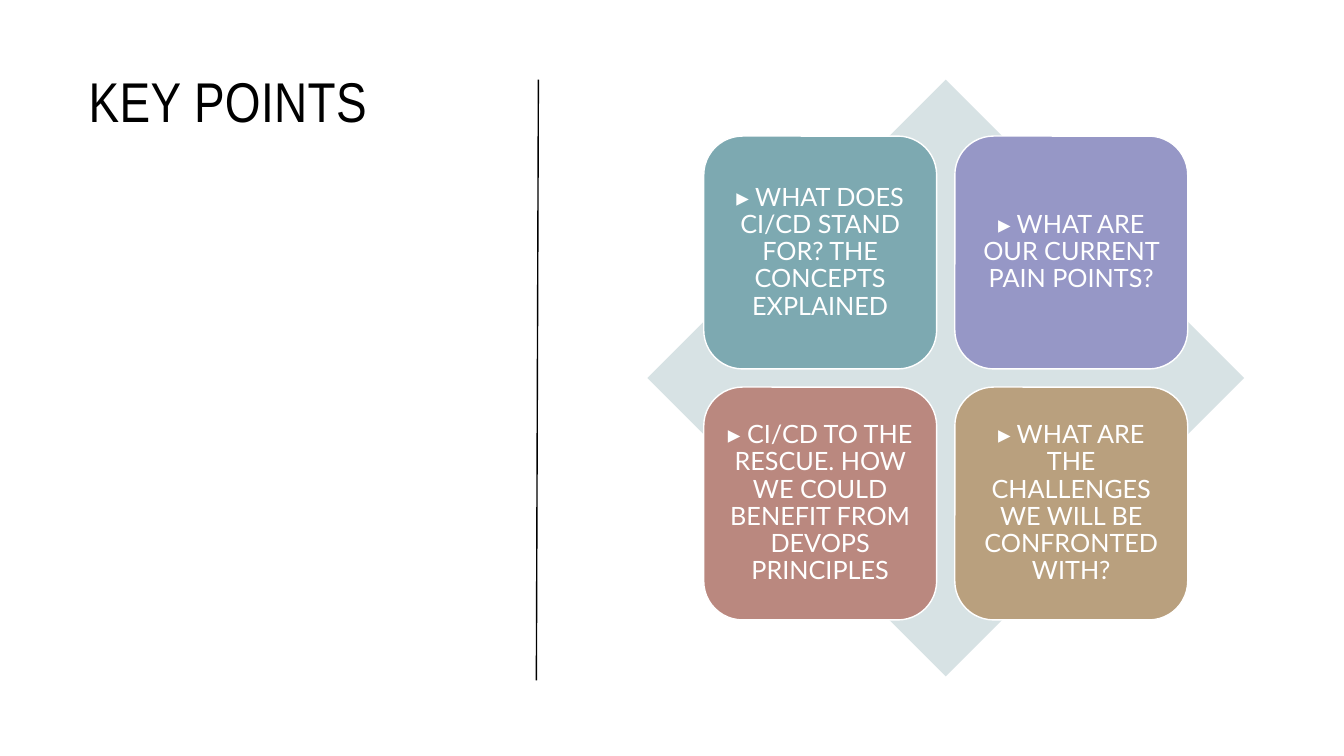
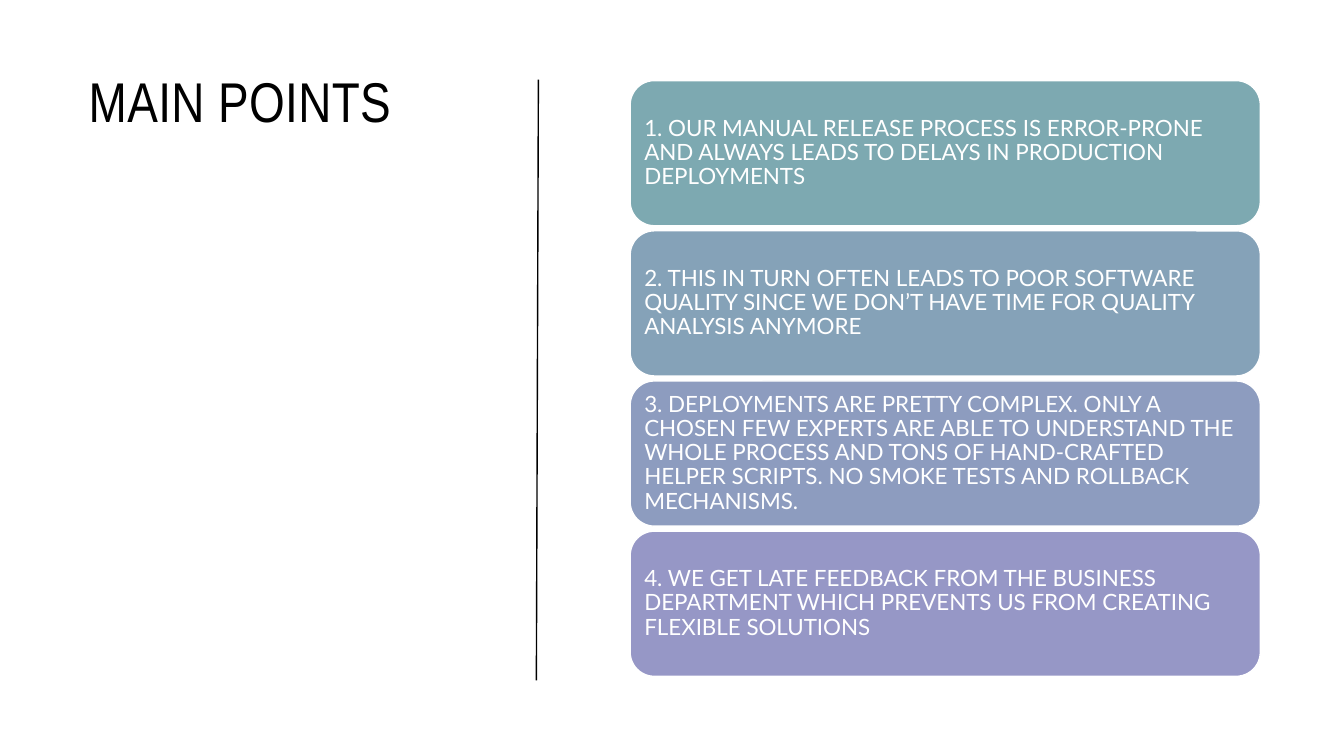
from lxml import etree
from pptx import Presentation
from pptx.dml.color import RGBColor
from pptx.enum import shapes, text
from pptx.oxml import ns
from pptx.util import Inches, Pt

BLACK = RGBColor(0x00, 0x00, 0x00)
WHITE = RGBColor(0xFF, 0xFF, 0xFF)
MIST = RGBColor(0xD7, 0xE2, 0xE4)
TEAL = RGBColor(0x7D, 0xA9, 0xB1)
STEEL = RGBColor(0x85, 0xA2, 0xB8)
PERIWINKLE = RGBColor(0x8D, 0x9C, 0xBF)
LAVENDER = RGBColor(0x96, 0x97, 0xC6)
ROSE = RGBColor(0xBA, 0x88, 0x7F)
SAND = RGBColor(0xB9, 0xA0, 0x7E)

TITLE_FONT = "Arial Narrow"
BODY_FONT = "Lato"
TITLE_ONLY = 5

QUESTIONS = [
    ("▸ WHAT DOES CI/CD STAND FOR? THE CONCEPTS EXPLAINED", TEAL),
    ("▸ WHAT ARE OUR CURRENT PAIN POINTS?", LAVENDER),
    ("▸ CI/CD TO THE RESCUE. HOW WE COULD BENEFIT FROM DEVOPS PRINCIPLES", ROSE),
    ("▸ WHAT ARE THE CHALLENGES WE WILL BE CONFRONTED WITH?", SAND),
]
PROBLEMS = [
    ("1. OUR MANUAL RELEASE PROCESS IS ERROR-PRONE AND ALWAYS LEADS TO DELAYS "
     "IN PRODUCTION DEPLOYMENTS", TEAL),
    ("2. THIS IN TURN OFTEN LEADS TO POOR SOFTWARE QUALITY SINCE WE DON’T HAVE "
     "TIME FOR QUALITY ANALYSIS ANYMORE", STEEL),
    ("3. DEPLOYMENTS ARE PRETTY COMPLEX. ONLY A CHOSEN FEW EXPERTS ARE ABLE TO "
     "UNDERSTAND THE WHOLE PROCESS AND TONS OF HAND-CRAFTED HELPER SCRIPTS. "
     "NO SMOKE TESTS AND ROLLBACK MECHANISMS.", PERIWINKLE),
    ("4. WE GET LATE FEEDBACK FROM THE BUSINESS DEPARTMENT WHICH PREVENTS US "
     "FROM CREATING FLEXIBLE SOLUTIONS", LAVENDER),
]


def write_text(frame, wording, *, size, font, color, align=text.PP_ALIGN.LEFT,
               anchor=text.MSO_ANCHOR.MIDDLE, line_spacing=1.0, tracking=0):
    """Fill a text frame with one formatted paragraph."""
    frame.word_wrap = True
    frame.auto_size = text.MSO_AUTO_SIZE.NONE
    frame.vertical_anchor = anchor
    paragraph = frame.paragraphs[0]
    paragraph.alignment = align
    paragraph.line_spacing = line_spacing
    run = paragraph.add_run()
    run.text = wording
    run.font.size = Pt(size)
    run.font.name = font
    run.font.color.rgb = color
    if tracking:
        run.font._element.set("spc", str(round(tracking * 100)))


def add_filled(slide, preset, left, top, width, height, fill):
    """Add a flat preset shape without an outline."""
    shape = slide.shapes.add_shape(
        preset, Inches(left), Inches(top), Inches(width), Inches(height))
    shape.shadow.inherit = False
    shape.fill.solid()
    shape.fill.fore_color.rgb = fill
    shape.line.fill.background()
    return shape


def add_card(slide, wording, left, top, width, height, *, fill, size, align):
    """Add a white-edged rounded card that holds one statement."""
    card = add_filled(slide, shapes.MSO_SHAPE.ROUNDED_RECTANGLE,
                      left, top, width, height, fill)
    card.line.color.rgb = WHITE
    card.line.width = Pt(1)
    frame = card.text_frame
    frame.margin_left = frame.margin_right = Inches(0.07)
    frame.margin_top = frame.margin_bottom = Inches(0.07)
    write_text(frame, wording, size=size, font=BODY_FONT, color=WHITE,
               align=align, line_spacing=0.9)


def add_divider(slide):
    """Draw the thin rule between the title and the content."""
    divider = slide.shapes.add_connector(
        shapes.MSO_CONNECTOR.STRAIGHT,
        Inches(5.32), Inches(6.75), Inches(5.34), Inches(0.79))
    divider.line.color.rgb = BLACK
    divider.line.width = Pt(1)
    etree.SubElement(divider._element.spPr, ns.qn("a:effectLst"))


def add_titled_slide(deck, heading):
    """Start a slide with the shared title and divider."""
    slide = deck.slides.add_slide(deck.slide_layouts[TITLE_ONLY])
    title = slide.shapes.title
    title.left, title.top = Inches(0.78), Inches(0.61)
    title.width, title.height = Inches(3.96), Inches(4.99)
    write_text(title.text_frame, heading, size=40, font=TITLE_FONT, color=BLACK,
               anchor=text.MSO_ANCHOR.TOP, tracking=0.3)
    add_divider(slide)
    return slide


def add_question_matrix(slide):
    """Lay the four questions in a two by two grid over a diamond."""
    add_filled(slide, shapes.MSO_SHAPE.DIAMOND, 6.42, 0.79, 5.92, 5.92, MIST)
    side, pitch = 2.31, 2.49
    for index, (question, fill) in enumerate(QUESTIONS):
        row, column = divmod(index, 2)
        add_card(slide, question, 6.98 + column * pitch, 1.35 + row * pitch,
                 side, side, fill=fill, size=18, align=text.PP_ALIGN.CENTER)


def add_problem_list(slide):
    """Stack the four problems as full-width cards."""
    for row, (problem, fill) in enumerate(PROBLEMS):
        add_card(slide, problem, 6.25, 0.8 + row * 1.49, 6.25, 1.44,
                 fill=fill, size=16, align=text.PP_ALIGN.LEFT)


def main():
    """Build and save the deck."""
    deck = Presentation()
    deck.slide_width, deck.slide_height = Inches(13.33), Inches(7.5)
    add_question_matrix(add_titled_slide(deck, "KEY POINTS"))
    add_problem_list(add_titled_slide(deck, "MAIN POINTS"))
    deck.save("out.pptx")


main()
